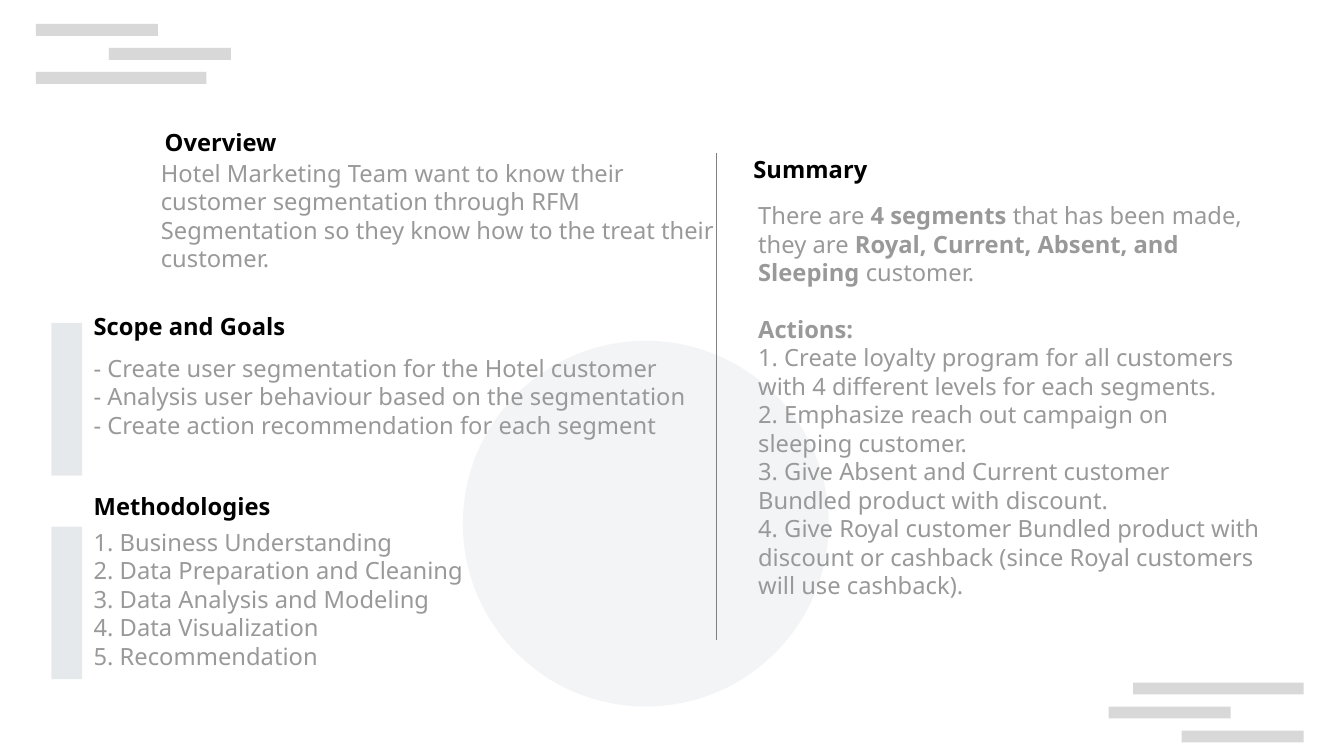
from lxml import etree
from pptx import Presentation
from pptx import util as u
from pptx.dml.color import RGBColor
from pptx.enum import shapes, text
from pptx.oxml import ns

# Content: (heading, heading box, paragraphs, body box); boxes are left, top, width, height in cm
# A paragraph is a list of (words, bold) runs
SECTIONS = [
    ("Overview", (3.18, 2.54, 5.08, 1.27), [
        [("Hotel Marketing Team want to know their customer segmentation through RFM "
          "Segmentation so they know how to the treat their customer.", False)],
    ], (3.1, 3.18, 12.12, 3.18)),
    ("Scope and Goals", (1.7, 6.38, 8.46, 1.98), [
        [("- Create user segmentation for the Hotel customer", False)],
        [("- Analysis user behaviour based on the segmentation", False)],
        [("- Create action recommendation for each segment", False)],
    ], (1.7, 7.24, 14.66, 2.62)),
    ("Methodologies", (1.7, 10.13, 8.46, 1.98), [
        [("1. Business Understanding", False)],
        [("2. Data Preparation and Cleaning", False)],
        [("3. Data Analysis and Modeling", False)],
        [("4. Data Visualization", False)],
        [("5. Recommendation", False)],
    ], (1.7, 10.87, 14.66, 3.58)),
    ("Summary", (15.44, 3.1, 8.46, 1.98), [
        [("There are ", False), ("4 segments ", True),
         ("that has been made, they are ", False),
         ("Royal, Current, Absent, and Sleeping ", True), ("customer.", False)],
        [("Actions:", True)],
        [("1. Create loyalty program for all customers with 4 different levels "
          "for each segments.", False)],
        [("2. Emphasize reach out campaign on sleeping customer.", False)],
        [("3. Give Absent and Current customer Bundled product with discount.", False)],
        [("4. Give Royal customer Bundled product with discount or cashback "
          "(since Royal customers will use cashback).", False)],
    ], (15.54, 4.06, 11.13, 8.6)),
]
GAP_BEFORE = "Actions:"

COLORS = {"stripe": "CCCCCC", "circle": "8D99AE", "marker": "CED4DA",
          "heading": "000000", "body": "999999", "divider": "808080"}
FONT, SIZE, LINE_HEIGHT = "Noto Sans", u.Pt(14), u.Pt(16.8)

# Decoration, in cm
STRIPES = [(0.75, 0.5, 2.54), (2.27, 1.0, 2.54), (0.75, 1.5, 3.55)]  # left, top, width
STRIPE_HEIGHT = 0.25
TURN_X, TURN_Y = 27.9, 15.97  # the lower stripes are the upper ones turned by 180 degrees
CIRCLE = (9.64, 7.1, 7.62, 7.62)
MARKER_TOPS = (6.73, 10.97)
DIVIDER_X, DIVIDER_TOP, DIVIDER_BOTTOM = 14.91, 3.18, 13.34


def lengths(values):
    return [u.Cm(value) for value in values]


def color(name):
    return RGBColor.from_string(COLORS[name])


def add_tinted(page, kind, place, name, opacity):
    shape = page.shapes.add_shape(kind, *lengths(place))
    shape.shadow.inherit = False
    shape.line.fill.background()
    shape.fill.solid()
    shape.fill.fore_color.rgb = color(name)
    tint = shape.fill._xPr.find(".//" + ns.qn("a:srgbClr"))
    etree.SubElement(tint, ns.qn("a:alpha"), val=str(opacity * 1000))


def add_text(page, place, paragraphs, name):
    frame = page.shapes.add_textbox(*lengths(place)).text_frame
    frame.word_wrap = True
    frame.vertical_anchor = text.MSO_ANCHOR.TOP
    for index, runs in enumerate(paragraphs):
        para = frame.add_paragraph() if index else frame.paragraphs[0]
        para.line_spacing = LINE_HEIGHT
        if runs[0][0] == GAP_BEFORE:
            para.space_before = LINE_HEIGHT
        for words, bold in runs:
            span = para.add_run()
            span.text = words
            span.font.name, span.font.size, span.font.bold = FONT, SIZE, bold
            span.font.color.rgb = color(name)


def main():
    deck = Presentation()
    deck.slide_width, deck.slide_height = lengths((27.99, 15.75))
    page = deck.slides.add_slide(deck.slide_layouts[6])
    rectangle = shapes.MSO_SHAPE.RECTANGLE

    # Corner stripes, circle and side markers
    for left, top, width in STRIPES:
        turned = (TURN_X - left - width, TURN_Y - top - STRIPE_HEIGHT)
        for corner in ((left, top), turned):
            add_tinted(page, rectangle, (*corner, width, STRIPE_HEIGHT), "stripe", 75)
    add_tinted(page, shapes.MSO_SHAPE.OVAL, CIRCLE, "circle", 10)
    for top in MARKER_TOPS:
        add_tinted(page, rectangle, (1.07, top, 0.64, 3.18), "marker", 50)

    # Headings and their text
    for heading, heading_box, paragraphs, body_box in SECTIONS:
        add_text(page, heading_box, [[(heading, True)]], "heading")
        add_text(page, body_box, paragraphs, "body")

    # Divider between the columns
    divider = page.shapes.add_connector(
        shapes.MSO_CONNECTOR.STRAIGHT,
        *lengths((DIVIDER_X, DIVIDER_TOP, DIVIDER_X, DIVIDER_BOTTOM)))
    divider.line.color.rgb = color("divider")
    divider.line.width = u.Pt(0.5)
    etree.SubElement(divider._element.spPr, ns.qn("a:effectLst"))

    deck.save("out.pptx")


if __name__ == "__main__":
    main()
